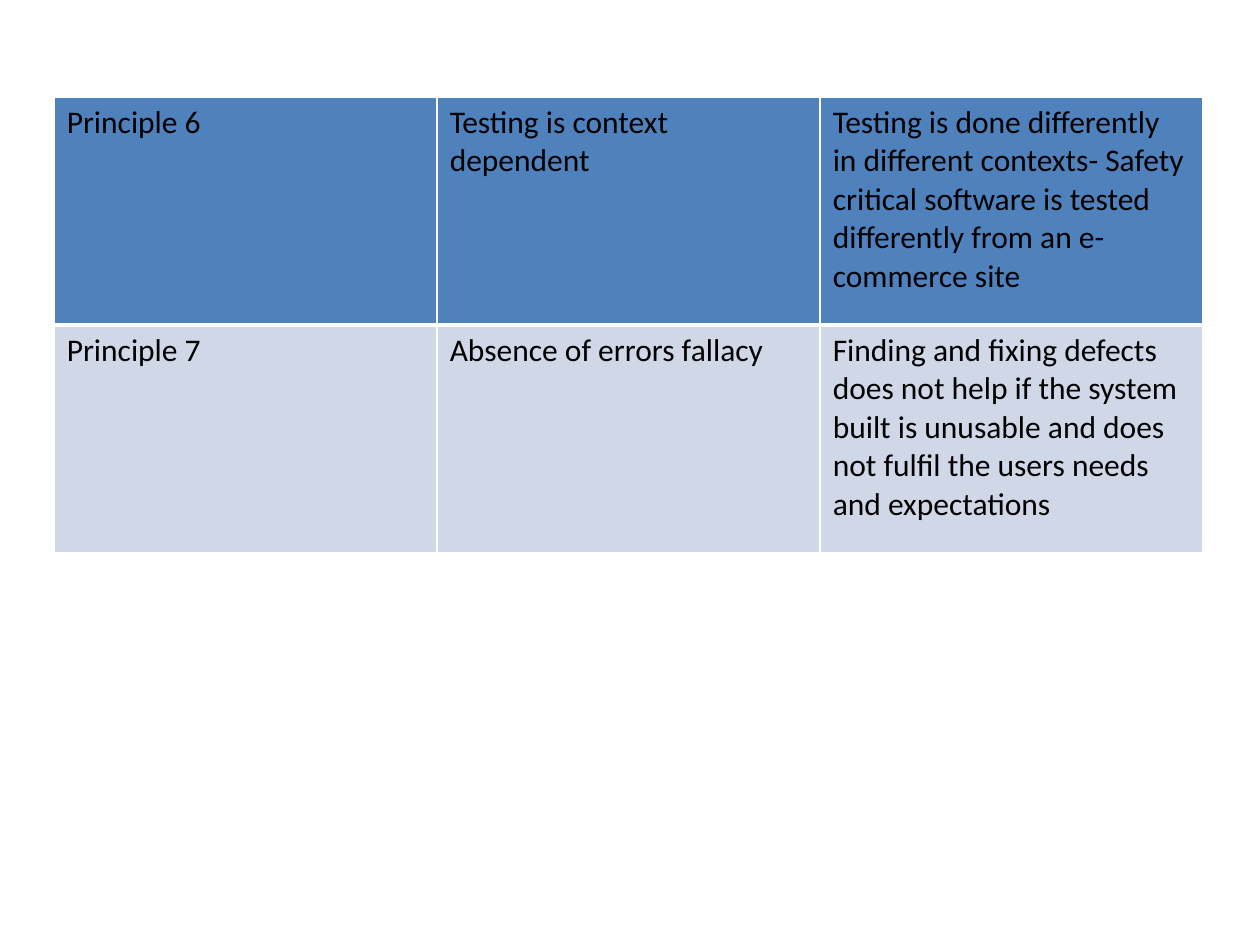
from lxml import etree
from pptx import Presentation
from pptx.dml.color import RGBColor
from pptx.oxml.ns import qn
from pptx.util import Inches, Pt

BLACK = RGBColor(0x00, 0x00, 0x00)
WHITE = RGBColor(0xFF, 0xFF, 0xFF)
BLUE = RGBColor(0x4F, 0x81, 0xBD)
PALE_BLUE = RGBColor(0xD0, 0xD8, 0xE8)

FONT = "Calibri"
BLANK_LAYOUT = 6
COLUMN_WIDTH = 3.04
ROW_HEIGHT = 1.81

PRINCIPLES = [
    ("Principle 6", "Testing is context dependent",
     "Testing is done differently in different contexts- Safety critical "
     "software is tested differently from an e-commerce site"),
    ("Principle 7", "Absence of errors fallacy",
     "Finding and fixing defects does not help if the system built is "
     "unusable and does not fulfil the users needs and expectations"),
]
# Fill and bottom border width in points, row by row
ROW_STYLES = [(BLUE, 3), (PALE_BLUE, 1)]


def set_borders(cell, bottom_width):
    """Draw white cell borders, 1 pt except for the bottom one."""
    properties = cell._tc.get_or_add_tcPr()
    for side, width in (("L", 1), ("R", 1), ("T", 1), ("B", bottom_width)):
        line = etree.SubElement(properties, qn(f"a:ln{side}"), w=str(Pt(width)))
        fill = etree.SubElement(line, qn("a:solidFill"))
        etree.SubElement(fill, qn("a:srgbClr"), val=str(WHITE))


def fill_cell(cell, text, color, bottom_width):
    set_borders(cell, bottom_width)
    cell.fill.solid()
    cell.fill.fore_color.rgb = color
    run = cell.text_frame.paragraphs[0].add_run()
    run.text = text
    run.font.name = FONT
    run.font.size = Pt(18)
    run.font.bold = False
    run.font.color.rgb = BLACK


def add_principles_table(slide):
    row_count, column_count = len(PRINCIPLES), len(PRINCIPLES[0])
    table = slide.shapes.add_table(
        row_count, column_count, Inches(0.43), Inches(0.77),
        Inches(column_count * COLUMN_WIDTH), Inches(row_count * ROW_HEIGHT),
    ).table
    for column in table.columns:
        column.width = Inches(COLUMN_WIDTH)
    for row, texts, (color, bottom_width) in zip(table.rows, PRINCIPLES, ROW_STYLES):
        row.height = Inches(ROW_HEIGHT)
        for cell, text in zip(row.cells, texts):
            fill_cell(cell, text, color, bottom_width)


def main():
    presentation = Presentation()
    presentation.slide_width = Inches(10)
    presentation.slide_height = Inches(7.5)
    slide = presentation.slides.add_slide(presentation.slide_layouts[BLANK_LAYOUT])
    add_principles_table(slide)
    presentation.save("out.pptx")


if __name__ == "__main__":
    main()
